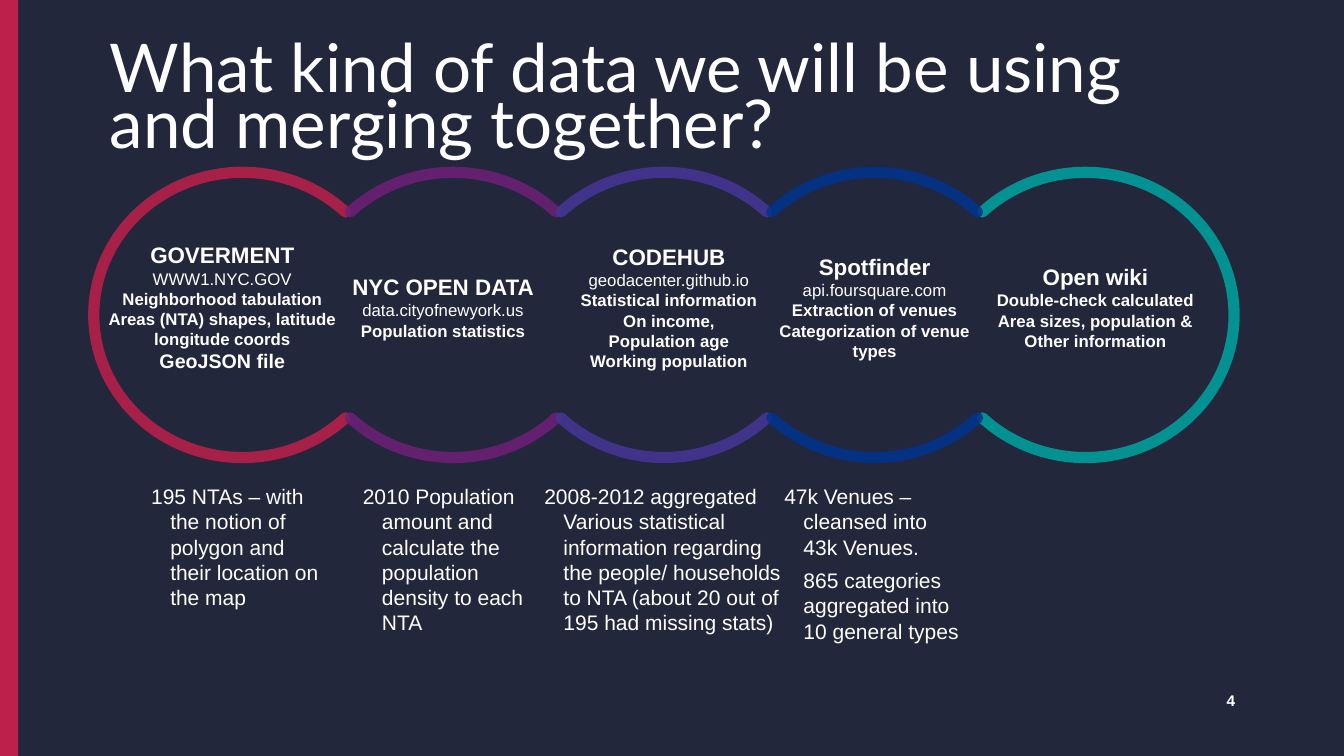
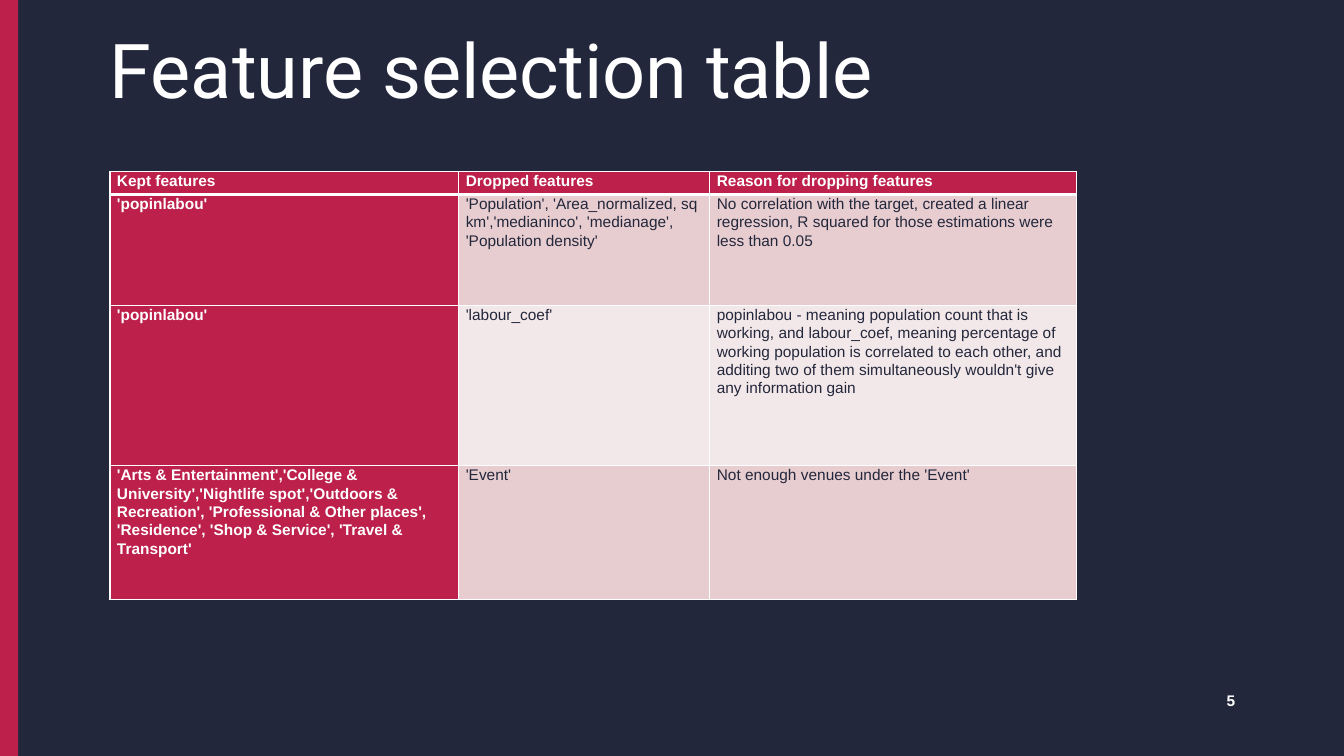
import pptx
import pptx.dml.color
import pptx.enum.shapes
import pptx.enum.text
import pptx.oxml.ns
import pptx.util
from lxml import etree

Inches = pptx.util.Inches
Pt = pptx.util.Pt
SHAPE = pptx.enum.shapes.MSO_SHAPE
ALIGN = pptx.enum.text.PP_ALIGN
ANCHOR = pptx.enum.text.MSO_ANCHOR
qn = pptx.oxml.ns.qn

COLORS = {
    "navy": "23273B", "white": "FFFFFF", "crimson": "BC204B", "purple": "6D2077",
    "indigo": "483698", "blue": "00338D", "teal": "00A3A1",
    "rose": "E7CDD0", "pale": "F3E8E9",
}

RING_WIDTH, RING_HEIGHT, RING_STEP = 2.95, 2.83, 2.09
RINGS = [
    ("crimson", [(45, 315)]),
    ("purple", [(225, 315), (45, 135)]),
    ("indigo", [(225, 315), (45, 135)]),
    ("blue", [(225, 315), (45, 135)]),
    ("teal", [(225, 135)]),
]
SOURCES = [
    (-0.2, [("GOVERMENT", 16, True), ("WWW1.NYC.GOV", 12, False),
            ("Neighborhood tabulation", 12, True),
            ("Areas (NTA) shapes, latitude", 12, True),
            ("longitude coords", 12, True), ("GeoJSON file", 14, True)]),
    (-0.1, [("NYC OPEN DATA", 16, True), ("data.cityofnewyork.us", 12, False),
            ("Population statistics", 12, True)]),
    (0.05, [("CODEHUB", 16, True), ("geodacenter.github.io", 12, False),
            ("Statistical information", 12, True), ("On income,", 12, True),
            ("Population age", 12, True), ("Working population", 12, True)]),
    (0, [("Spotfinder", 16, True), ("api.foursquare.com", 12, False),
         ("Extraction of venues", 12, True), ("Categorization of venue", 12, True),
         ("types", 12, True)]),
    (0.1, [("Open wiki", 16, True), ("Double-check calculated", 12, True),
           ("Area sizes, population &", 12, True), ("Other information", 12, True)]),
]
NOTES = [
    (1.4, 1.98, ["195 NTAs – with the notion of polygon and their location on the map"]),
    (3.5, 1.98, ["2010 Population amount and calculate the population density to each NTA"]),
    (5.3, 2.57, ["2008-2012 aggregated Various statistical information regarding the people/ "
                 "households to NTA (about 20 out of 195 had missing stats)"]),
    (7.68, 1.98, ["47k Venues – cleansed into 43k Venues.",
                  "865 categories aggregated into 10 general types"]),
]
FEATURES = [
    ("Kept features", "Dropped features", "Reason for dropping features"),
    ("'popinlabou'",
     "'Population', 'Area_normalized, sq km','medianinco', 'medianage', 'Population density'",
     "No correlation with the target, created a linear regression, R squared for those "
     "estimations were less than 0.05"),
    ("'popinlabou'", "'labour_coef'",
     "popinlabou - meaning population count that is working, and labour_coef, meaning "
     "percentage of working population is correlated to each other, and additing two of "
     "them simultaneously wouldn't give any information gain"),
    ("'Arts & Entertainment','College & University','Nightlife spot','Outdoors & Recreation', "
     "'Professional & Other places', 'Residence', 'Shop & Service', 'Travel & Transport'",
     "'Event'", "Not enough venues under the 'Event'"),
]
COLUMN_WIDTHS = [3.46, 2.49, 3.64]
ROW_HEIGHTS = [0.23, 1.1, 1.59, 1.33]


def rgb(name):
    """Return the named palette colour."""
    return pptx.dml.color.RGBColor.from_string(COLORS[name])


def write(frame, text, size=12, bold=False, color="white", font="Arial",
          align=ALIGN.LEFT, spacing=None, after=0, margin=0, hanging=0):
    """Add one formatted paragraph to a text frame."""
    paragraph = frame.paragraphs[0]
    if paragraph.runs:
        paragraph = frame.add_paragraph()
    properties = paragraph._p.get_or_add_pPr()
    properties.set("marL", str(Inches(margin)))
    properties.set("indent", str(Inches(-hanging)))
    paragraph.alignment = align
    paragraph.space_before, paragraph.space_after = Pt(0), Pt(after)
    if spacing:
        paragraph.line_spacing = spacing
    run = paragraph.add_run()
    run.text = text
    run.font.size, run.font.bold, run.font.name = Pt(size), bold, font
    run.font.color.rgb = rgb(color)


def set_frame(frame, inset_x, inset_y, anchor=ANCHOR.TOP, wrap=True):
    """Set the insets, anchor and wrapping of a text frame."""
    frame.margin_left = frame.margin_right = Inches(inset_x)
    frame.margin_top = frame.margin_bottom = Inches(inset_y)
    frame.vertical_anchor, frame.word_wrap = anchor, wrap
    frame.auto_size = pptx.enum.text.MSO_AUTO_SIZE.NONE
    return frame


def text_area(slide, left, top, width, height, **layout):
    """Add a text box and return its frame."""
    box = slide.shapes.add_textbox(Inches(left), Inches(top), Inches(width), Inches(height))
    return set_frame(box.text_frame, **layout)


def solid_shape(slide, kind, left, top, width, height, color):
    """Add a filled shape without line or shadow."""
    shape = slide.shapes.add_shape(kind, Inches(left), Inches(top), Inches(width), Inches(height))
    shape.shadow.inherit = False
    shape.fill.solid()
    shape.fill.fore_color.rgb = rgb(color)
    shape.line.fill.background()
    return shape


def titled_slide(deck, title, number, size, font):
    """Add a slide with the side band, title and page number."""
    slide = deck.slides.add_slide(deck.slide_layouts[5])
    solid_shape(slide, SHAPE.RECTANGLE, 0, 0, 0.18, 7.5, "crimson")
    heading = slide.shapes.title
    heading.left, heading.top = Inches(1.09), Inches(0.47)
    heading.width, heading.height = Inches(11.16), Inches(0.58)
    write(set_frame(heading.text_frame, 0, 0), title, size=size, font=font, spacing=0.7)
    page = text_area(slide, 9.06, 6.84, 3.19, 0.22, inset_x=0, inset_y=0, anchor=ANCHOR.MIDDLE)
    write(page, number, size=11, bold=True, align=ALIGN.RIGHT)
    return slide


def ring_arc(slide, left, top, start, end, color):
    """Draw a translucent arc clockwise between two angles in degrees."""
    arc = slide.shapes.add_shape(SHAPE.ARC, Inches(left), Inches(top),
                                 Inches(RING_WIDTH), Inches(RING_HEIGHT))
    arc.shadow.inherit = False
    arc.fill.background()
    arc.adjustments[0], arc.adjustments[1] = start * 0.6, end * 0.6
    arc.line.width = Pt(8)
    arc.line.color.rgb = rgb(color)
    outline = arc._element.spPr.find(qn("a:ln"))
    outline.set("cap", "rnd")
    tint = outline.find(".//" + qn("a:srgbClr"))
    etree.SubElement(tint, qn("a:alpha")).set("val", "85000")


def source_chain(slide, left, top):
    """Draw the linked rings with a data source in each."""
    lefts = [left + index * RING_STEP for index in range(len(RINGS))]

    def draw_ring(index):
        color, arcs = RINGS[index]
        for start, end in arcs:
            ring_arc(slide, lefts[index], top, start, end, color)

    last = len(RINGS) - 1
    draw_ring(last)
    for ring_left in lefts[:last]:
        solid_shape(slide, SHAPE.OVAL, ring_left + 0.01, top + 0.02, 2.92, 2.8, "navy")
    for index in range(last):
        draw_ring(index)
    label_width, label_height = 2.4, 1.4
    for ring_left, (shift, lines) in zip(lefts, SOURCES):
        label = text_area(slide, ring_left + (RING_WIDTH - label_width) / 2 + shift,
                          top + (RING_HEIGHT - label_height) / 2 - 0.08,
                          label_width, label_height, inset_x=0.06, inset_y=0.06,
                          anchor=ANCHOR.MIDDLE, wrap=False)
        for text, size, bold in lines:
            write(label, text, size=size, bold=bold, align=ALIGN.CENTER)


def source_notes(slide, top):
    """Place the notes under the rings."""
    for left, width, notes in NOTES:
        frame = text_area(slide, left, top, width, 1.7, inset_x=0.1, inset_y=0.05)
        for index, note in enumerate(notes):
            write(frame, note, size=15, after=6, margin=0.19, hanging=0 if index else 0.19)


def border_cell(cell, widths):
    """Give a cell white borders of the given widths."""
    properties = cell._tc.get_or_add_tcPr()
    for position, (side, width) in enumerate(widths.items()):
        edge = etree.Element(qn("a:ln" + side), w=str(Pt(width)))
        paint = etree.SubElement(edge, qn("a:solidFill"))
        etree.SubElement(paint, qn("a:srgbClr")).set("val", COLORS["white"])
        properties.insert(position, edge)


def feature_table(slide, left, top):
    """Build the table of kept and dropped features."""
    table = slide.shapes.add_table(
        len(FEATURES), len(COLUMN_WIDTHS), Inches(left), Inches(top),
        Inches(sum(COLUMN_WIDTHS)), Inches(sum(ROW_HEIGHTS))).table
    for column, width in zip(table.columns, COLUMN_WIDTHS):
        column.width = Inches(width)
    for row_index, (texts, height) in enumerate(zip(FEATURES, ROW_HEIGHTS)):
        table.rows[row_index].height = Inches(height)
        for column_index, text in enumerate(texts):
            cell = table.cell(row_index, column_index)
            heading = row_index == 0 or column_index == 0
            body_fill = "rose" if row_index % 2 else "pale"
            cell.margin_left = cell.margin_right = Inches(0.07)
            cell.margin_top = cell.margin_bottom = 0
            cell.fill.solid()
            cell.fill.fore_color.rgb = rgb("crimson" if heading else body_fill)
            border_cell(cell, {"L": 1, "R": 1, "T": 3 if row_index == 1 else 1,
                               "B": 3 if row_index == 0 else 1})
            write(cell.text_frame, text, size=11, bold=heading, spacing=1.07,
                  color="white" if heading else "navy")


def main():
    """Build and save the presentation."""
    deck = pptx.Presentation()
    deck.slide_width, deck.slide_height = Inches(13.33), Inches(7.5)
    backdrop = deck.slide_master.background.fill
    backdrop.solid()
    backdrop.fore_color.rgb = rgb("navy")

    data_slide = titled_slide(
        deck, "What kind of data we will be using and merging together?", "4", 48, "Lato")
    source_chain(data_slide, 0.93, 1.71)
    source_notes(data_slide, 4.75)

    feature_slide = titled_slide(deck, "Feature selection table", "5", 54, "Roboto")
    feature_table(feature_slide, 1.09, 1.7)
    deck.save("out.pptx")


if __name__ == "__main__":
    main()
